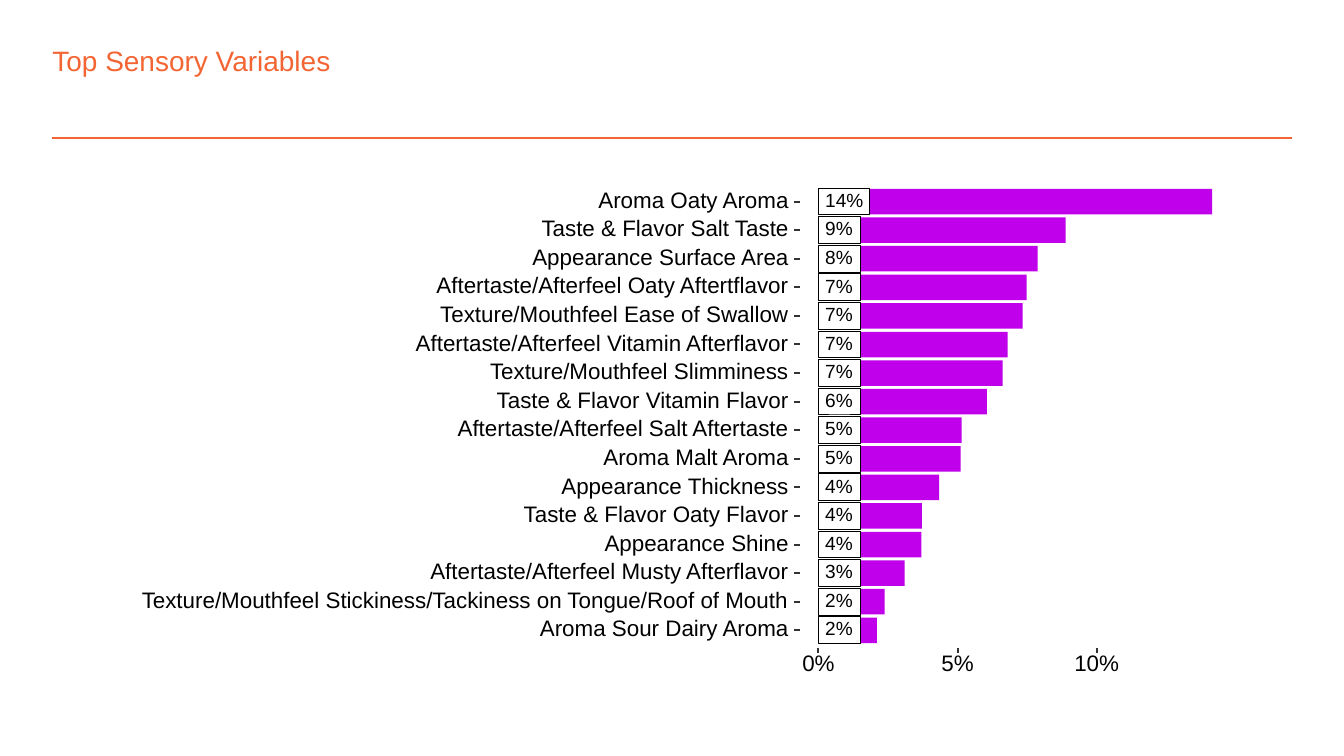
from lxml import etree
from pptx import Presentation
from pptx.dml.color import RGBColor
from pptx.enum.shapes import MSO_CONNECTOR, MSO_SHAPE
from pptx.enum.text import MSO_ANCHOR, PP_ALIGN
from pptx.oxml.ns import qn
from pptx.util import Inches, Pt

RECTANGLE, STRAIGHT = MSO_SHAPE.RECTANGLE, MSO_CONNECTOR.STRAIGHT
TOP, MIDDLE = MSO_ANCHOR.TOP, MSO_ANCHOR.MIDDLE
LEFT, CENTER, RIGHT = PP_ALIGN.LEFT, PP_ALIGN.CENTER, PP_ALIGN.RIGHT

TITLE = "Top Sensory Variables"
IMPORTANCE = [  # sensory variable, percent
    ("Aroma Oaty Aroma", 14.15),
    ("Taste & Flavor Salt Taste", 8.88),
    ("Appearance Surface Area", 7.88),
    ("Aftertaste/Afterfeel Oaty Aftertflavor", 7.48),
    ("Texture/Mouthfeel Ease of Swallow", 7.34),
    ("Aftertaste/Afterfeel Vitamin Afterflavor", 6.8),
    ("Texture/Mouthfeel Slimminess", 6.62),
    ("Taste & Flavor Vitamin Flavor", 6.05),
    ("Aftertaste/Afterfeel Salt Aftertaste", 5.15),
    ("Aroma Malt Aroma", 5.11),
    ("Appearance Thickness", 4.34),
    ("Taste & Flavor Oaty Flavor", 3.72),
    ("Appearance Shine", 3.7),
    ("Aftertaste/Afterfeel Musty Afterflavor", 3.1),
    ("Texture/Mouthfeel Stickiness/Tackiness on Tongue/Roof of Mouth", 2.38),
    ("Aroma Sour Dairy Aroma", 2.1),
]
AXIS_PERCENTS = [0, 5, 10]

COLORS = {"accent": "F36633", "bar": "C000EB", "text": "000000",
          "tick": "333333", "box": "FFFFFF"}
FONT = "Arial"

# Chart grid, in inches
SLIDE_W = 10
SLIDE_H = SLIDE_W * 9 / 16
MARGIN = 0.39
ZERO_X, PERCENT_W = 6.09, 2.07 / 10
FIRST_Y, PITCH = 1.5, 3.19 / (len(IMPORTANCE) - 1)
NAME_X, NAME_RIGHT, NAME_H = 1.01, 5.87, 0.16
BAR_H, BOX_H, BOX_PAD, DIGIT_W = 0.19, 0.2, 0.05, 0.07
TICK, TICK_X, TICK_Y = 0.04, 5.91, 4.82
AXIS_LABEL_Y, AXIS_LABEL_W, AXIS_LABEL_H = 4.88, 0.34, 0.13


def color(key):
    return RGBColor.from_string(COLORS[key])


def write(shape, text, size, align=LEFT, anchor=MIDDLE, ink="text", pad=0,
          spacing=None):
    frame = shape.text_frame
    layout = {"word_wrap": False, "vertical_anchor": anchor, "margin_left": Inches(pad),
              "margin_right": 0, "margin_top": 0, "margin_bottom": 0}
    for name, value in layout.items():
        setattr(frame, name, value)
    paragraph = frame.paragraphs[0]
    paragraph.text = text
    paragraph.alignment = align
    paragraph.line_spacing = spacing
    for name, value in {"name": FONT, "size": Pt(size)}.items():
        setattr(paragraph.runs[0].font, name, value)
    paragraph.runs[0].font.color.rgb = color(ink)


def add_label(slide, text, x, y, w, h, size, **style):
    box = slide.shapes.add_textbox(*map(Inches, (x, y, w, h)))
    write(box, text, size, **style)


def add_rectangle(slide, x, y, w, h, fill, outline=None):
    shape = slide.shapes.add_shape(RECTANGLE, *map(Inches, (x, y, w, h)))
    shape.shadow.inherit = False
    shape.fill.solid()
    shape.fill.fore_color.rgb = color(fill)
    if outline:
        shape.line.color.rgb = color(outline)
        shape.line.width = Pt(0.53)
    else:
        shape.line.fill.background()
    return shape


def add_line(slide, x1, y1, x2, y2, ink, width):
    line = slide.shapes.add_connector(STRAIGHT, *map(Inches, (x1, y1, x2, y2)))
    line.line.color.rgb = color(ink)
    line.line.width = Pt(width)
    etree.SubElement(line._element.spPr, qn("a:effectLst"))


def add_header(slide):
    add_line(slide, MARGIN, 1.03, SLIDE_W - MARGIN, 1.03, "accent", 1)
    add_label(slide, TITLE, MARGIN, 0.32, 8.29, 0.25, 15, anchor=TOP, ink="accent")


def add_row(slide, row, variable, percent):
    """Draw one variable: its name, tick, bar and boxed percentage."""
    middle = FIRST_Y + row * PITCH
    share = f"{percent:.0f}%"
    add_label(slide, variable, NAME_X, middle - NAME_H / 2,
              NAME_RIGHT - NAME_X, NAME_H, 12, align=RIGHT, spacing=Pt(12))
    add_line(slide, TICK_X, middle, TICK_X + TICK, middle, "tick", 1.07)
    add_rectangle(slide, ZERO_X, middle - BAR_H / 2, percent * PERCENT_W, BAR_H, "bar")
    box_w = 0.17 + DIGIT_W * len(share)
    box = add_rectangle(slide, ZERO_X, middle - BOX_H / 2, box_w, BOX_H, "box", "text")
    write(box, share, 10.2, pad=BOX_PAD, spacing=Pt(10.2))


def add_axis(slide):
    for percent in AXIS_PERCENTS:
        x = ZERO_X + percent * PERCENT_W
        add_line(slide, x, TICK_Y, x, TICK_Y + TICK, "tick", 1.07)
        add_label(slide, f"{percent}%", x - AXIS_LABEL_W / 2, AXIS_LABEL_Y,
                  AXIS_LABEL_W, AXIS_LABEL_H, 12, align=CENTER, spacing=Pt(12))


def main():
    deck = Presentation()
    deck.slide_width, deck.slide_height = Inches(SLIDE_W), Inches(SLIDE_H)
    slide = deck.slides.add_slide(deck.slide_layouts[6])
    add_header(slide)
    for row, (variable, percent) in enumerate(IMPORTANCE):
        add_row(slide, row, variable, percent)
    add_axis(slide)
    deck.save("out.pptx")


if __name__ == "__main__":
    main()
